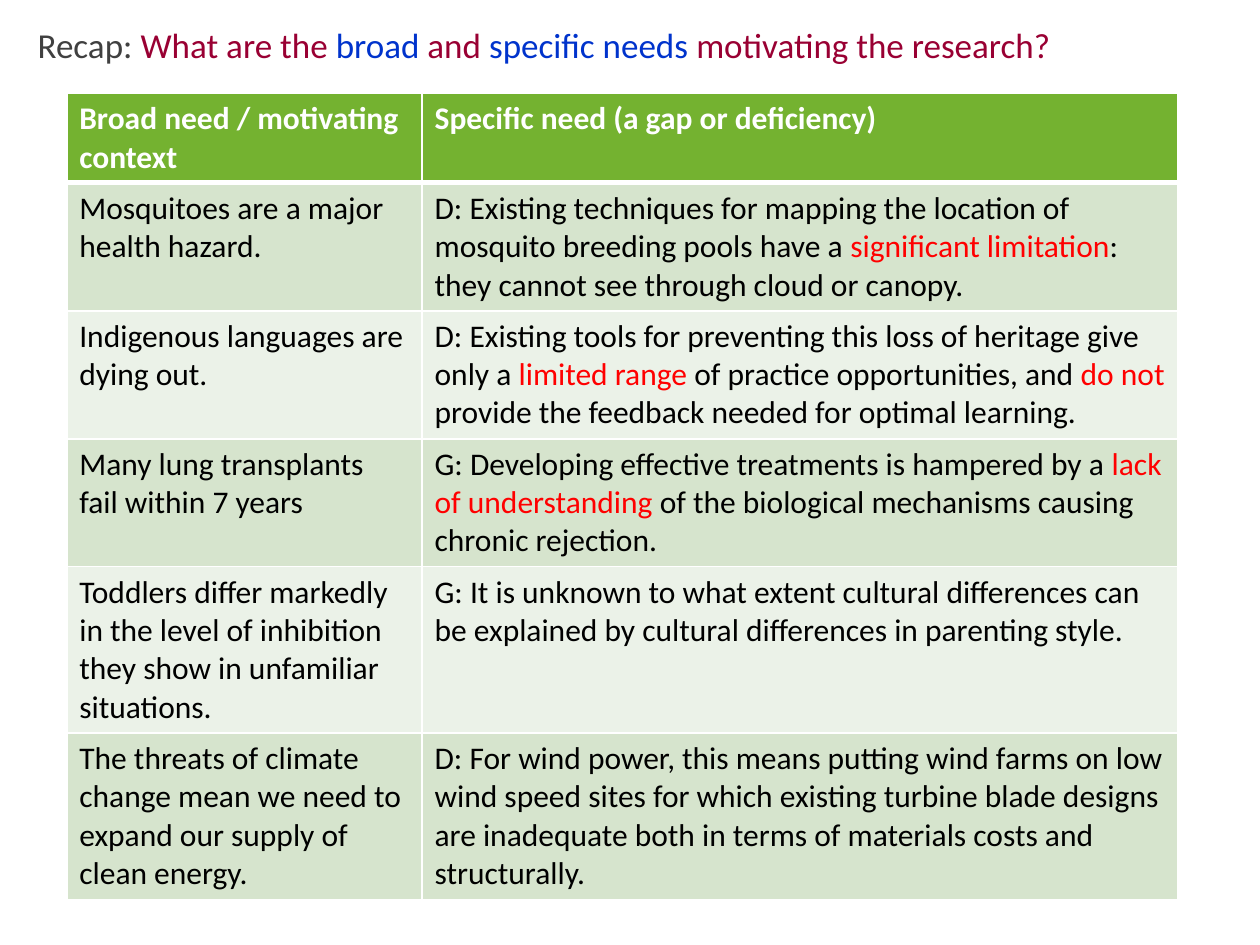
from dataclasses import dataclass

from lxml import etree
from pptx import Presentation
from pptx import util as u
from pptx.dml.color import RGBColor
from pptx.enum import text as t
from pptx.oxml import ns


@dataclass(frozen=True)
class Theme:
    font: str = "Calibri"
    title_size: int = 20
    body_size: int = 18
    grey: str = "404040"
    maroon: str = "990033"
    blue: str = "0033CC"
    black: str = "000000"
    red: str = "FF0000"
    white: str = "FFFFFF"
    header: str = "74B230"
    bands: tuple[str, str] = ("D6E4CD", "EBF2E8")


THEME = Theme()


@dataclass(frozen=True)
class Span:
    text: str
    color: str = THEME.black


@dataclass(frozen=True)
class Need:
    broad: str
    specific: tuple[Span, ...]
    lines: int


def red(words: str) -> Span:
    return Span(words, THEME.red)


TITLE = (
    Span("Recap: ", THEME.grey),
    Span("What are the ", THEME.maroon),
    Span("broad", THEME.blue),
    Span(" and ", THEME.maroon),
    Span("specific needs ", THEME.blue),
    Span("motivating the research?", THEME.maroon),
)
HEADINGS = ("Broad need / motivating context", "Specific need (a gap or deficiency)")
HEADING_LINES = 2
NEEDS = (
    Need("Mosquitoes are a major health hazard.", (
        Span("D: Existing techniques for mapping the location of mosquito breeding pools have a "),
        red("significant limitation"),
        Span(": they cannot see through cloud or canopy."),
    ), 3),
    Need("Indigenous languages are dying out.", (
        Span("D: Existing tools for preventing this loss of heritage give only a "),
        red("limited range "),
        Span("of practice opportunities, and "),
        red("do not "),
        Span("provide the feedback needed for optimal learning."),
    ), 3),
    Need("Many lung transplants fail within 7 years", (
        Span("G: Developing effective treatments is hampered by a "),
        red("lack of understanding "),
        Span("of the biological mechanisms causing chronic rejection."),
    ), 3),
    Need("Toddlers differ markedly in the level of inhibition they show in unfamiliar situations.", (
        Span("G: It is unknown to what extent cultural differences can be explained by "
             "cultural differences in parenting style."),
    ), 4),
    Need("The threats of climate change mean we need to expand our supply of clean energy.", (
        Span("D: For wind power, this means putting wind farms on low wind speed sites for which "
             "existing turbine blade designs are inadequate both in terms of materials costs "
             "and structurally."),
    ), 4),
)

# Table grid, in inches; a row is as tall as its lines of text plus margins
TABLE_LEFT, TABLE_TOP = 0.53, 0.74
COLUMNS = (2.82, 6)
LINE_HEIGHT = THEME.body_size * 1.22 / 72
ROW_MARGINS = 0.1


def write(para, spans: tuple[Span, ...], *, size: int, bold: bool = False) -> None:
    for item in spans:
        span = para.add_run()
        span.text = item.text
        span.font.name = THEME.font
        span.font.size = u.Pt(size)
        span.font.bold = bold
        span.font.color.rgb = RGBColor.from_string(item.color)


def add_borders(cell, *, bottom: float) -> None:
    properties = cell._tc.get_or_add_tcPr()
    widths = {"lnL": 1, "lnR": 1, "lnT": 1, "lnB": bottom}
    for index, (side, width) in enumerate(widths.items()):
        line = etree.Element(ns.qn(f"a:{side}"), w=str(u.Pt(width)))
        fill = etree.SubElement(line, ns.qn("a:solidFill"))
        etree.SubElement(fill, ns.qn("a:srgbClr"), val=THEME.white)
        properties.insert(index, line)


def fill_cell(cell, spans: tuple[Span, ...], *, fill: str, bold: bool = False,
              bottom: float = 1) -> None:
    cell.fill.solid()
    cell.fill.fore_color.rgb = RGBColor.from_string(fill)
    add_borders(cell, bottom=bottom)
    write(cell.text_frame.paragraphs[0], spans, size=THEME.body_size, bold=bold)


def add_title(page) -> None:
    box = page.shapes.add_textbox(u.Inches(0.2), u.Inches(0.14), u.Inches(9.48), u.Inches(0.44))
    box.text_frame.word_wrap = True
    box.text_frame.auto_size = t.MSO_AUTO_SIZE.SHAPE_TO_FIT_TEXT
    write(box.text_frame.paragraphs[0], TITLE, size=THEME.title_size)


def add_needs_table(page) -> None:
    heights = [lines * LINE_HEIGHT + ROW_MARGINS
               for lines in (HEADING_LINES, *(need.lines for need in NEEDS))]
    table = page.shapes.add_table(
        len(heights), len(COLUMNS), u.Inches(TABLE_LEFT), u.Inches(TABLE_TOP),
        u.Inches(sum(COLUMNS)), u.Inches(sum(heights))).table
    for column, width in zip(table.columns, COLUMNS):
        column.width = u.Inches(width)
    for row, height in zip(table.rows, heights):
        row.height = u.Inches(height)

    # Header row
    for column, heading in enumerate(HEADINGS):
        fill_cell(table.cell(0, column), (Span(heading, THEME.white),),
                  fill=THEME.header, bold=True, bottom=3)

    # Banded body rows
    for index, need in enumerate(NEEDS):
        for column, spans in enumerate(((Span(need.broad),), need.specific)):
            fill_cell(table.cell(index + 1, column), spans, fill=THEME.bands[index % 2])


def main() -> None:
    deck = Presentation()
    deck.slide_width, deck.slide_height = u.Inches(10), u.Inches(7.5)
    page = deck.slides.add_slide(deck.slide_layouts[6])
    add_needs_table(page)
    add_title(page)
    deck.save("out.pptx")


if __name__ == "__main__":
    main()
